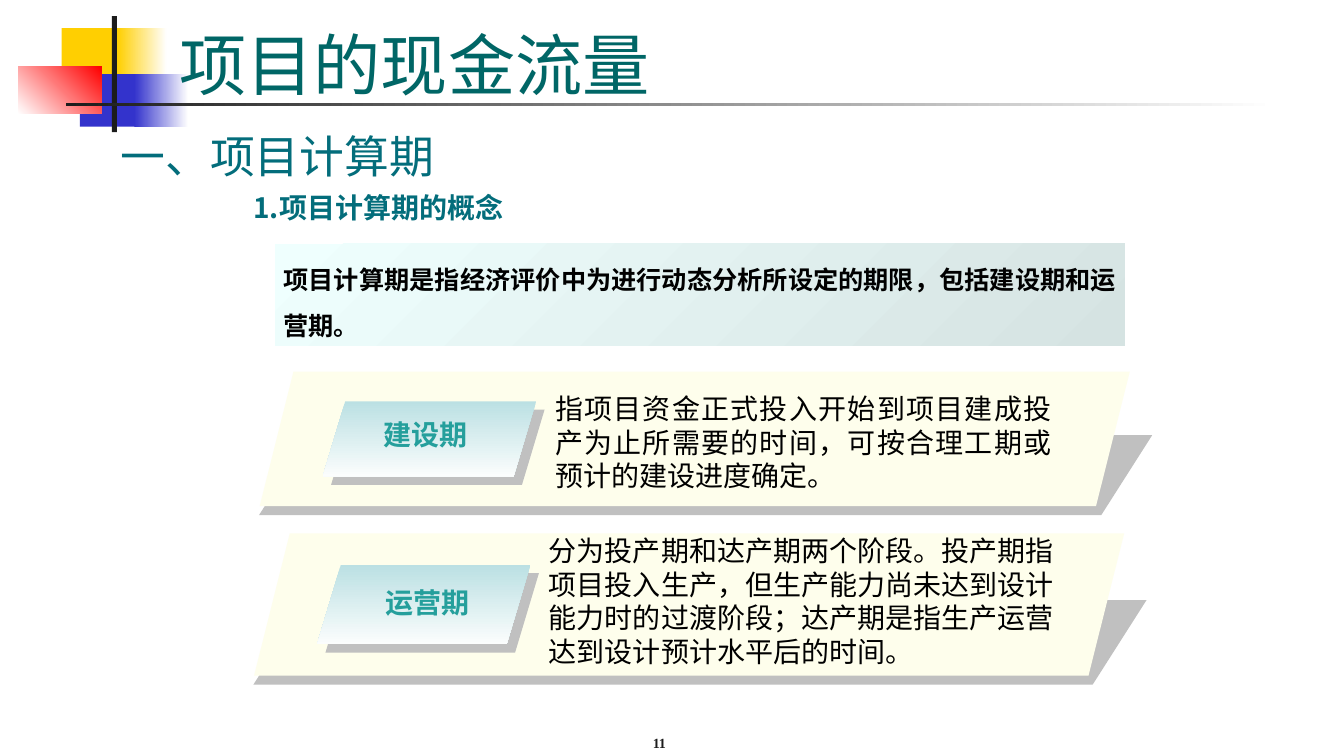
from pptx import Presentation
from pptx.dml.color import RGBColor
from pptx.enum import shapes, text
from pptx.oxml.ns import qn
from pptx.util import Pt

COLORS = {
    "yellow": "FFCF01", "blue": "3333CC", "red": "FF0000", "white": "FFFFFF",
    "ink": "1C1C1C", "black": "000000", "title": "006666", "heading": "036D7B",
    "mint": "EFFFFE", "mist": "D5E3E2", "shade": "C0C0C0", "cream": "FEFEEC",
    "aqua": "BBE0E3", "pale": "FBFDFD", "label": "259F9C",
}
SERIF, SANS = "Times New Roman", "Noto Sans CJK SC"
RECT, SLANT = shapes.MSO_SHAPE.RECTANGLE, shapes.MSO_SHAPE.PARALLELOGRAM
LEFT, CENTER, JUSTIFY = text.PP_ALIGN.LEFT, text.PP_ALIGN.CENTER, text.PP_ALIGN.JUSTIFY
TOP, MIDDLE, BOTTOM = text.MSO_ANCHOR.TOP, text.MSO_ANCHOR.MIDDLE, text.MSO_ANCHOR.BOTTOM


def add_block(parent, kind, place, fill, angle=0, slant=None):
    """Add a borderless shape; two fill names make a gradient, angle counter-clockwise."""
    block = parent.shapes.add_shape(kind, *map(Pt, place))
    block.shadow.inherit = False
    block.line.fill.background()
    if slant is not None:
        block.adjustments[0] = slant
    if len(fill) == 1:
        block.fill.solid()
        block.fill.fore_color.rgb = RGBColor.from_string(COLORS[fill[0]])
    else:
        block.fill.gradient()
        block.fill.gradient_angle = angle
        for stop, name in zip(block.fill.gradient_stops, fill):
            stop.color.rgb = RGBColor.from_string(COLORS[name])
    return block


def write(box, words, size, color, font=SERIF, bold=False, align=LEFT, anchor=TOP):
    frame = box.text_frame
    frame.word_wrap = True
    frame.vertical_anchor = anchor
    frame.text = words
    para = frame.paragraphs[0]
    para.alignment = align
    span = para.runs[0]
    span.font.size = Pt(size)
    span.font.bold = bold
    span.font.name = font
    span.font.color.rgb = RGBColor.from_string(COLORS[color])
    east_asian = span.font._element.makeelement(qn("a:ea"), {"typeface": SANS})
    span.font._element.find(qn("a:latin")).addnext(east_asian)


deck = Presentation()
deck.slide_width, deck.slide_height = Pt(960), Pt(540)
page = deck.slides.add_slide(deck.slide_layouts[6])

# Corner ornament and title rule
ornament = page.shapes.add_group_shape()
for place, fill, angle in [
    ((44, 20, 46, 37.5), ["yellow"], 0),
    ((84, 20, 35, 37.5), ["yellow", "white"], 0),
    ((57, 53, 45, 37.5), ["blue"], 0),
    ((96, 53, 38.5, 37.5), ["blue", "white"], 0),
    ((13, 47.5, 59.5, 33.5), ["white", "red"], 45),
    ((80, 11.5, 3.5, 83), ["ink"], 0),
    ((47, 73.5, 864, 2), ["ink", "white"], 0),
]:
    add_block(ornament, RECT, place, fill, angle)

# Headings and page number
for place, words, style in [
    ((371, 504, 200, 36), "11", dict(size=10, color="ink", bold=True, align=CENTER, anchor=BOTTOM)),
    ((121, 11.5, 818, 66), "项目的现金流量", dict(size=48, color="title", anchor=BOTTOM)),
    ((79, 88.5, 862, 425.5), "一、项目计算期", dict(size=32, color="heading")),
    ((174, 132.5, 255, 31), "1.项目计算期的概念", dict(size=20, color="heading", font=SANS, bold=True)),
]:
    write(page.shapes.add_textbox(*map(Pt, place)), words, **style)

# Definition
definition = add_block(page, RECT, (196.5, 174, 607, 73), ["mint", "mist"], 315)
write(definition, "项目计算期是指经济评价中为进行动态分析所设定的期限，包括建设期和运营期。",
      18, "black", bold=True, align=JUSTIFY, anchor=MIDDLE)
frame = definition.text_frame
frame.margin_left = frame.margin_right = frame.margin_top = frame.margin_bottom = Pt(6)
frame.paragraphs[0].line_spacing = 1.5

# The two periods: left, top and height of the panel, then its texts
periods = [
    (185.5, 265.5, 96, "建设期", (247.5, 295, 113, 32),
     "指项目资金正式投入开始到项目建成投产为止所需要的时间，可按合理工期或预计的建设进度确定。",
     (389.5, 276, 368.5, 79), JUSTIFY),
    (181.5, 381, 101.5, "运营期", (249, 414.5, 113, 31),
     "分为投产期和达产期两个阶段。投产期指项目投入生产，但生产能力尚未达到设计能力时的过渡阶段；"
     "达产期是指生产运营达到设计预计水平后的时间。",
     (385, 377.5, 380, 103), LEFT),
]
for left, top, height, name, name_place, note, note_place, note_align in periods:
    group = page.shapes.add_group_shape()
    shade_height = 0.595 * height
    shade_top = top + height + 6.5 - shade_height
    tag_left, tag_top, tag_height = left + 45, top + 0.22 * height, 0.56 * height
    add_block(group, SLANT, (left - 0.5, shade_top, 638, shade_height), ["shade"], slant=0.637)
    add_block(group, SLANT, (left, top, 621.5, height), ["cream"], slant=0.251)
    add_block(group, SLANT, (tag_left + 6, tag_top + 6, 152.5, tag_height), ["shade"], slant=0.3)
    add_block(group, SLANT, (tag_left, tag_top, 152.5, tag_height), ["aqua", "pale"], 270, 0.3)
    write(group.shapes.add_textbox(*map(Pt, note_place)), note, 20, "black", SANS, align=note_align)
    write(group.shapes.add_textbox(*map(Pt, name_place)), name, 20, "label", bold=True, align=CENTER)

deck.save("out.pptx")
